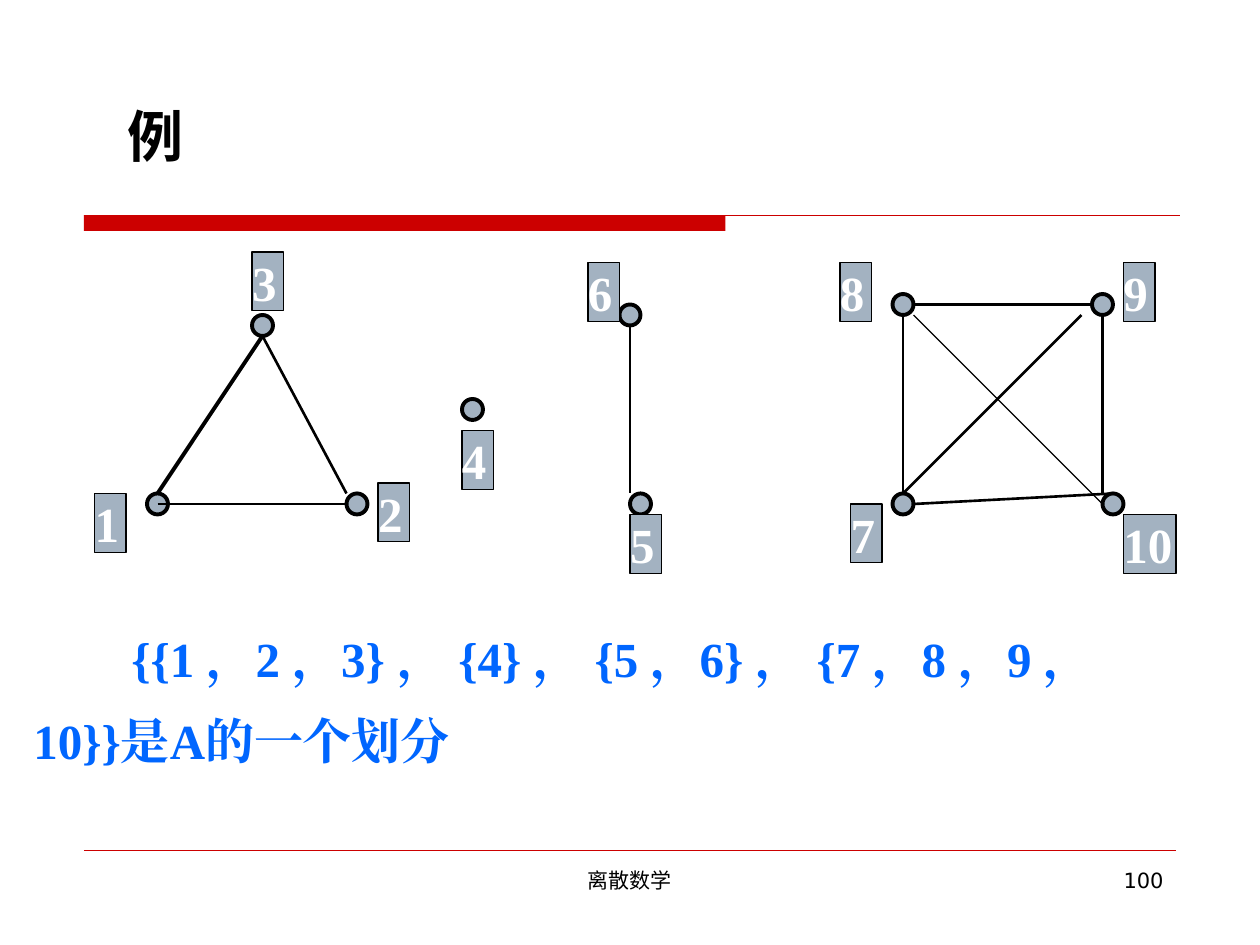
from dataclasses import dataclass

from lxml.etree import SubElement
from pptx import Presentation
from pptx.dml.color import RGBColor as Color
from pptx.enum.shapes import MSO_CONNECTOR as Connector, MSO_SHAPE as Preset
from pptx.enum.text import MSO_ANCHOR as Anchor, PP_ALIGN as Align
from pptx.oxml.ns import qn
from pptx.util import Emu, Pt

SCALE = 7620


@dataclass(frozen=True)
class Theme:
    accent: Color = Color(0xCC, 0x00, 0x00)
    ink: Color = Color(0x00, 0x00, 0x00)
    paper: Color = Color(0xFF, 0xFF, 0xFF)
    node: Color = Color(0xA3, 0xB2, 0xC1)
    statement: Color = Color(0x00, 0x66, 0xFF)
    serif: str = "Times New Roman"
    sans: str = "DejaVu Sans"
    chinese: str = "Noto Sans CJK SC"
    title_size: int = 32
    text_size: int = 28
    footer_size: int = 12
    hairline: float = 0.25
    thin: float = 0.75
    medium: float = 1.5
    heavy: float = 2.25


@dataclass(frozen=True)
class Graph:
    box: tuple
    nodes: tuple
    edges: tuple
    labels: dict


THEME = Theme()
NODE_SIZE = 20
LABEL_HEIGHT = 56

GRAPHS = (
    Graph(
        (90, 240, 300, 286),
        ((150, 60), (50, 230), (240, 230)),
        (
            (160, 80, 60, 230, THEME.heavy),
            (60, 240, 240, 240, THEME.thin),
            (160, 80, 240, 230, THEME.medium),
        ),
        {"1": (0, 230, 30), "2": (270, 220, 30), "3": (150, 0, 30)},
    ),
    Graph((440, 380, 30, 86), ((0, 0),), (), {"4": (0, 30, 30)}),
    Graph(
        (560, 250, 70, 296),
        ((30, 40), (40, 220)),
        ((40, 60, 40, 220, THEME.medium),),
        {"5": (40, 240, 30), "6": (0, 0, 30)},
    ),
    Graph(
        (800, 250, 320, 296),
        ((50, 30), (50, 220), (240, 30), (250, 220)),
        (
            (60, 50, 60, 220, THEME.medium),
            (70, 40, 240, 40, THEME.medium),
            (250, 50, 250, 220, THEME.medium),
            (70, 230, 260, 220, THEME.medium),
            (70, 50, 250, 230, THEME.thin),
            (60, 220, 230, 50, THEME.medium),
        ),
        {"7": (10, 230, 30), "10": (270, 240, 50), "8": (0, 0, 30), "9": (270, 0, 30)},
    ),
)


def px(*lengths):
    return [Emu(length * SCALE) for length in lengths]


def add_line(slide, ends, color, width):
    line = slide.shapes.add_connector(Connector.STRAIGHT, *px(*ends))
    line.line.color.rgb = color
    line.line.width = Pt(width)
    SubElement(line._element.spPr, qn("a:effectLst"))


def add_filled(slide, preset, box, fill, outline_width=None):
    shape = slide.shapes.add_shape(preset, *px(*box))
    shape.shadow.inherit = False
    shape.fill.solid()
    shape.fill.fore_color.rgb = fill
    if outline_width is None:
        shape.line.fill.background()
    else:
        shape.line.color.rgb = THEME.ink
        shape.line.width = Pt(outline_width)
    return shape


def write(shape, text, size, color, latin, east_asian, bold=False,
          align=Align.LEFT, anchor=Anchor.MIDDLE):
    frame = shape.text_frame
    frame.word_wrap = True
    frame.vertical_anchor = anchor
    paragraph = frame.paragraphs[0]
    paragraph.alignment = align
    run = paragraph.add_run()
    run.text = text
    for font in (paragraph.font, run.font):
        font.size = Pt(size)
        font.bold = bold
        font.name = latin
        font.color.rgb = color
    SubElement(run.font._element, qn("a:ea"), typeface=east_asian)
    return paragraph


def add_header(slide, box):
    left, top, width, height = box
    title = slide.shapes.add_textbox(*px(left + 30, top, 290, 77))
    write(title, "例", THEME.title_size, THEME.ink, THEME.chinese, THEME.chinese, bold=True)
    rule_top = top + height - 15
    add_filled(slide, Preset.RECTANGLE, (left, rule_top, 611, 15), THEME.accent)
    add_line(slide, (left, rule_top, left + width, rule_top), THEME.accent, THEME.thin)


def add_graph(slide, graph):
    left, top = graph.box[:2]
    for x, y in graph.nodes:
        add_filled(slide, Preset.OVAL, (left + x, top + y, NODE_SIZE, NODE_SIZE),
                   THEME.node, THEME.heavy)
    for x1, y1, x2, y2, width in graph.edges:
        add_line(slide, (left + x1, top + y1, left + x2, top + y2), THEME.ink, width)
    for text, (x, y, width) in graph.labels.items():
        label = add_filled(slide, Preset.RECTANGLE, (left + x, top + y, width, LABEL_HEIGHT),
                           THEME.node, THEME.thin)
        frame = label.text_frame
        frame.margin_left = frame.margin_right = frame.margin_top = frame.margin_bottom = 0
        write(label, text, THEME.text_size, THEME.paper, THEME.serif, THEME.serif, bold=True)


def add_statement(slide, box):
    statement = slide.shapes.add_textbox(*px(*box))
    paragraph = write(
        statement, "{{1 ，2 ，3} ， {4} ， {5 ，6} ， {7 ，8 ，9 ，10}}是A的一个划分",
        THEME.text_size, THEME.statement, THEME.serif, THEME.serif, bold=True)
    paragraph.line_spacing = 1.4
    properties = paragraph._p.get_or_add_pPr()
    properties.set("marL", "0")
    properties.set("indent", str(Pt(56)))


def add_footer(slide, box):
    left, top, width, height = box
    add_line(slide, (left, top, left + width, top), THEME.accent, THEME.hairline)
    parts = (
        ("离散数学", left + 330, 380, Align.CENTER),
        ("100", left + width - 260, 260, Align.RIGHT),
    )
    for text, x, part_width, align in parts:
        part = slide.shapes.add_textbox(*px(x, top + 10, part_width, height - 10))
        write(part, text, THEME.footer_size, THEME.ink, THEME.sans, THEME.chinese,
              align=align, anchor=Anchor.TOP)


def main():
    presentation = Presentation()
    presentation.slide_width, presentation.slide_height = px(1200, 900)
    slide = presentation.slides.add_slide(presentation.slide_layouts[6])
    add_header(slide, (80, 90, 1044, 130))
    for graph in GRAPHS:
        add_graph(slide, graph)
    add_statement(slide, (20, 570, 1060, 169))
    add_footer(slide, (80, 810, 1040, 72))
    presentation.save("out.pptx")


if __name__ == "__main__":
    main()
